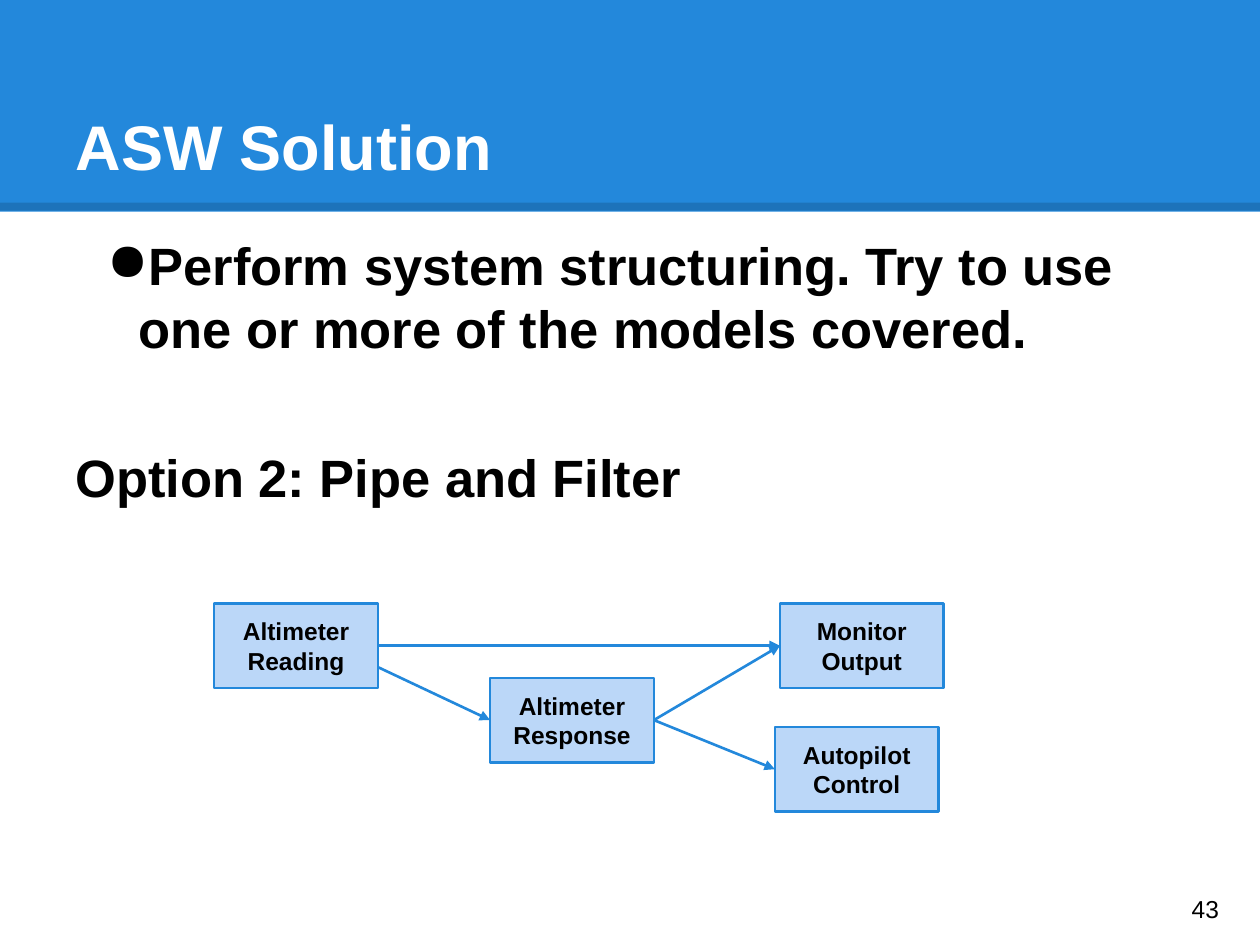
"""Build the ASW Solution slide with its pipe and filter diagram."""
from lxml import etree
from pptx import Presentation
from pptx.dml.color import RGBColor
from pptx.enum.shapes import MSO_CONNECTOR, MSO_SHAPE
from pptx.enum.text import MSO_ANCHOR, MSO_AUTO_SIZE, PP_ALIGN
from pptx.oxml.ns import qn
from pptx.util import Inches, Pt

RECT = MSO_SHAPE.RECTANGLE
LINE = MSO_CONNECTOR.STRAIGHT
TOP, MID, LOW = MSO_ANCHOR.TOP, MSO_ANCHOR.MIDDLE, MSO_ANCHOR.BOTTOM
LEFT, MIDST = PP_ALIGN.LEFT, PP_ALIGN.CENTER
HUES = {
    "blue": RGBColor.from_string("2388DB"),
    "pale": RGBColor.from_string("BBD7F8"),
    "white": RGBColor.from_string("FFFFFF"),
    "black": RGBColor.from_string("000000"),
}


def write(shape, text, size=14, bold=True, hue="black", align=LEFT, anchor=MID, gap=0, bullet=False):
    frame = shape.text_frame
    frame.word_wrap = True
    frame.auto_size = MSO_AUTO_SIZE.NONE
    frame.vertical_anchor = anchor
    frame.margin_left = frame.margin_right = Inches(0.1)
    frame.margin_top = frame.margin_bottom = Inches(0.1)
    for i, words in enumerate(text.split("\n")):
        para = frame.add_paragraph() if i else frame.paragraphs[0]
        para.text = words
        para.alignment = align
        para.space_before = Pt(gap if i else 0)
        if bullet and i == 0:
            props = para._p.get_or_add_pPr()
            props.set("marL", str(Inches(0.5)))
            props.set("indent", str(Inches(-0.25)))
            etree.SubElement(props, qn("a:buChar"), char="●")
        font = para.font
        font.name, font.size, font.bold = "Arial", Pt(size), bold
        font.color.rgb = HUES[hue]


def link(start, end, hue="blue", width=1.5, arrow=True):
    wire = slide.shapes.add_connector(LINE, *[Inches(v) for v in (*start, *end)])
    wire.line.color.rgb = HUES[hue]
    wire.line.width = Pt(width)
    if arrow:
        etree.SubElement(wire.line._get_or_add_ln(), qn("a:tailEnd"), type="triangle")
    etree.SubElement(wire.element.spPr, qn("a:effectLst"))
    return wire


deck = Presentation()
deck.slide_width, deck.slide_height = Inches(10), Inches(7.5)
slide = deck.slides.add_slide(deck.slide_layouts[5])

band = slide.shapes.add_shape(RECT, 0, 0, Inches(10), Inches(1.68))
band.shadow.inherit = False
band.fill.solid()
band.fill.fore_color.rgb = HUES["blue"]
band.line.fill.background()
edge = link((0, 1.64), (10, 1.64), hue="black", width=4.5, arrow=False)
shade = edge.element.find(".//" + qn("a:srgbClr"))
etree.SubElement(shade, qn("a:alpha"), val="15000")

title = slide.shapes.title
title.left, title.top = Inches(0.5), Inches(0.3)
title.width, title.height = Inches(9), Inches(1.25)
write(title, "ASW Solution", size=36, hue="white", anchor=LOW)
title.element.addprevious(band.element)
title.element.addprevious(edge.element)

body = slide.shapes.add_textbox(Inches(0.5), Inches(1.75), Inches(9), Inches(2.37))
write(
    body,
    "Perform system structuring. Try to use one or more of the models covered.\n"
    "Option 2: Pipe and Filter",
    size=30, anchor=TOP, gap=49, bullet=True,
)

WIDE, HIGH = 1.3, 0.67
spots = {
    "Altimeter Reading": (1.7, 4.79),
    "Altimeter Response": (3.89, 5.38),
    "Monitor Output": (6.19, 4.79),
    "Autopilot Control": (6.15, 5.77),
}
for name, (x, y) in spots.items():
    box = slide.shapes.add_shape(RECT, Inches(x), Inches(y), Inches(WIDE), Inches(HIGH))
    box.shadow.inherit = False
    box.fill.solid()
    box.fill.fore_color.rgb = HUES["pale"]
    box.line.color.rgb = HUES["blue"]
    box.line.width = Pt(1.5)
    write(box, name, align=MIDST)

pipes = [
    ("Altimeter Reading", "Altimeter Response", 0.17),
    ("Altimeter Reading", "Monitor Output", 0),
    ("Altimeter Response", "Monitor Output", 0),
    ("Altimeter Response", "Autopilot Control", 0),
]
for source, goal, drop in pipes:
    (x1, y1), (x2, y2) = spots[source], spots[goal]
    link((x1 + WIDE, y1 + HIGH / 2 + drop), (x2, y2 + HIGH / 2))

number = slide.shapes.add_textbox(Inches(9.36), Inches(6.93), Inches(0.6), Inches(0.57))
write(number, "43", bold=False)

deck.save("out.pptx")
